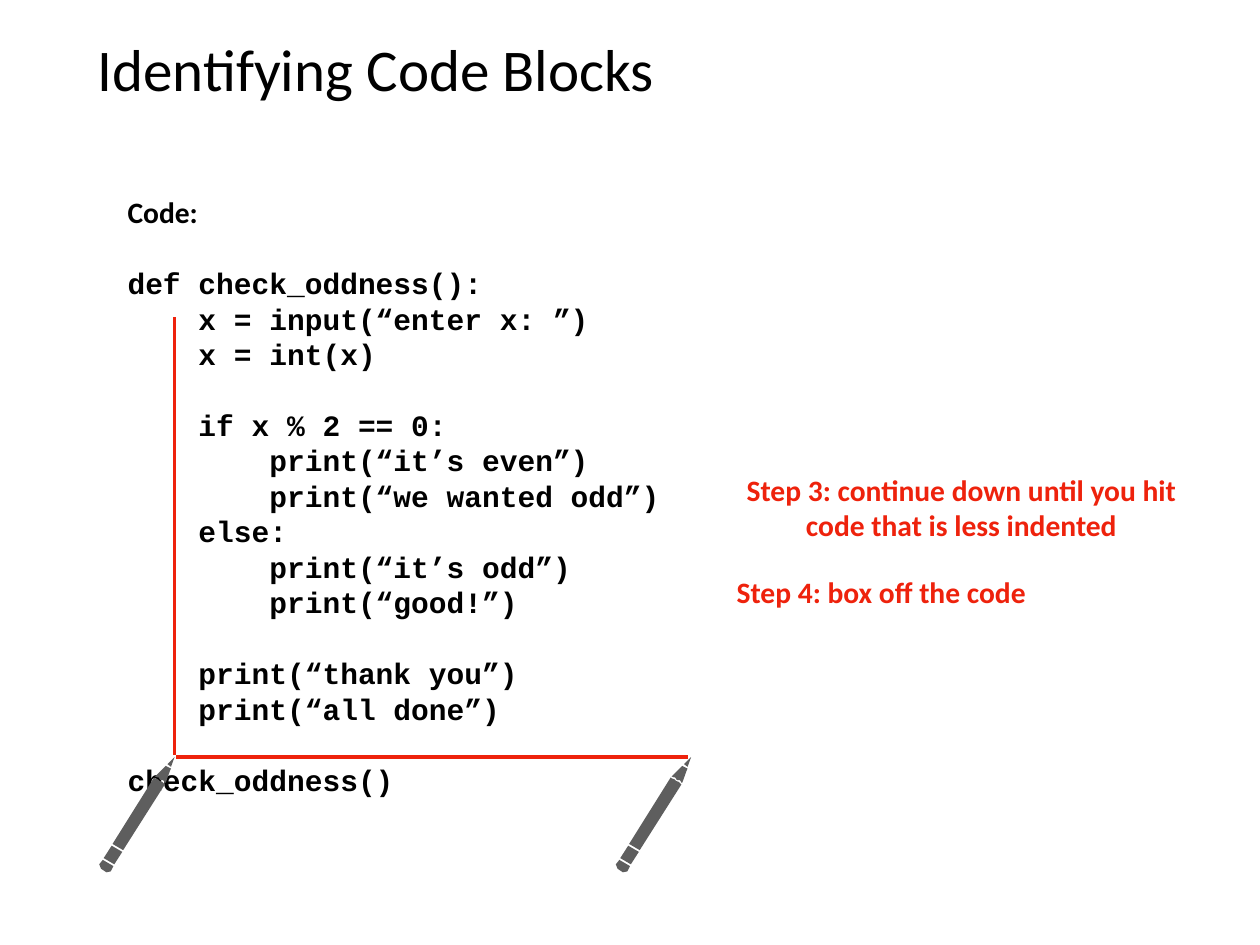
from lxml.etree import SubElement
from pptx import Presentation
from pptx.dml.color import RGBColor
from pptx.enum.shapes import MSO_CONNECTOR
from pptx.enum.text import MSO_ANCHOR, MSO_AUTO_SIZE, PP_ALIGN
from pptx.oxml.ns import qn
from pptx.util import Emu, Pt

PX = Emu(9144)
MARGIN = 6
LINE_HEIGHT = Pt(28.8)
COLORS = {"text": "000000", "mark": "EE220C", "pen": "5E5E5E"}
BODY_FONT = "Calibri"
CODE_FONT = "Courier New"

CODE_BLOCKS = [
    "def check_oddness():\n"
    "    x = input(“enter x: ”)\n"
    "    x = int(x)",
    "    if x % 2 == 0:\n"
    "        print(“it’s even”)\n"
    "        print(“we wanted odd”)\n"
    "    else:\n"
    "        print(“it’s odd”)\n"
    "        print(“good!”)",
    "    print(“thank you”)\n"
    "    print(“all done”)",
    "check_oddness()",
]

PEN_PARTS = {
    "cap": [(-77, 130), (-72, 129), (-69, 123), (-81, 116), (-85, 121), (-83, 126)],
    "band": [(-68, 121), (-59, 107), (-71, 100), (-80, 114)],
    "barrel": [(-58, 105), (-11, 31), (-14, 28), (-17, 27), (-19, 25),
               (-22, 24), (-23, 23), (-70, 98)],
    "cone": [(-11, 29), (-10, 29), (-5, 15), (-4, 13), (-10, 10), (-11, 11),
             (-22, 22), (-19, 23), (-18, 23), (-16, 26), (-13, 26), (-12, 27)],
    "lead": [(-4, 11), (0, 0), (-8, 8)],
}


def px(*lengths):
    return [Emu(length * PX) for length in lengths]


def color(name):
    return RGBColor.from_string(COLORS[name])


def set_margins(text_frame):
    text_frame.margin_left = text_frame.margin_right = Emu(MARGIN * PX)
    text_frame.margin_top = text_frame.margin_bottom = Emu(MARGIN * PX)


def format_runs(paragraph, font_name, size, color_name, bold):
    for run in paragraph.runs:
        run.font.name = font_name
        run.font.size = Pt(size)
        run.font.bold = bold
        run.font.color.rgb = color(color_name)


def set_title(slide, text, box):
    title = slide.shapes.title
    title.left, title.top, title.width, title.height = px(*box)
    text_frame = title.text_frame
    set_margins(text_frame)
    text_frame.vertical_anchor = MSO_ANCHOR.MIDDLE
    text_frame.text = text
    paragraph = text_frame.paragraphs[0]
    paragraph.alignment = PP_ALIGN.LEFT
    format_runs(paragraph, BODY_FONT, 48, "text", False)


def add_text(slide, box, blocks, color_name, alignment):
    text_frame = slide.shapes.add_textbox(*px(*box)).text_frame
    set_margins(text_frame)
    text_frame.word_wrap = True
    text_frame.auto_size = MSO_AUTO_SIZE.NONE
    for index, (text, font_name) in enumerate(blocks):
        paragraph = text_frame.add_paragraph() if index else text_frame.paragraphs[0]
        paragraph.text = text
        paragraph.alignment = alignment
        paragraph.line_spacing = LINE_HEIGHT
        if index:
            paragraph.space_before = LINE_HEIGHT
        format_runs(paragraph, font_name, 24, color_name, True)


def add_line(slide, start, end):
    line = slide.shapes.add_connector(MSO_CONNECTOR.STRAIGHT, *px(*start, *end))
    line.line.color.rgb = color("mark")
    line.line.width = Pt(3)
    SubElement(line.element.spPr, qn("a:effectLst"))


def add_pen(slide, tip):
    parts = list(PEN_PARTS.values())
    builder = slide.shapes.build_freeform(*parts[0][0], scale=PX)
    for index, points in enumerate(parts):
        if index:
            builder.move_to(*points[0])
        builder.add_line_segments(points[1:], close=True)
    pen = builder.convert_to_shape(*px(*tip))
    pen.shadow.inherit = False
    pen.fill.solid()
    pen.fill.fore_color.rgb = color("pen")
    pen.line.fill.background()


def main():
    presentation = Presentation()
    presentation.slide_width, presentation.slide_height = px(1422, 1066)
    slide = presentation.slides.add_slide(presentation.slide_layouts[5])

    set_title(slide, "Identifying Code Blocks", (104, 27, 1214, 99))
    code = [("Code:", BODY_FONT)] + [(block, CODE_FONT) for block in CODE_BLOCKS]
    add_text(slide, (138, 213, 640, 691), code, "text", PP_ALIGN.LEFT)

    step_3 = "Step 3: continue down until you hit\ncode that is less indented"
    add_text(slide, (789, 526, 592, 91), [(step_3, BODY_FONT)], "mark", PP_ALIGN.CENTER)
    add_line(slide, (197, 358), (197, 852))
    add_pen(slide, (197, 854))

    step_4 = "Step 4: box off the code"
    add_text(slide, (795, 641, 399, 51), [(step_4, BODY_FONT)], "mark", PP_ALIGN.CENTER)
    add_pen(slide, (780, 854))
    add_line(slide, (199, 854), (777, 854))

    presentation.save("out.pptx")


if __name__ == "__main__":
    main()
